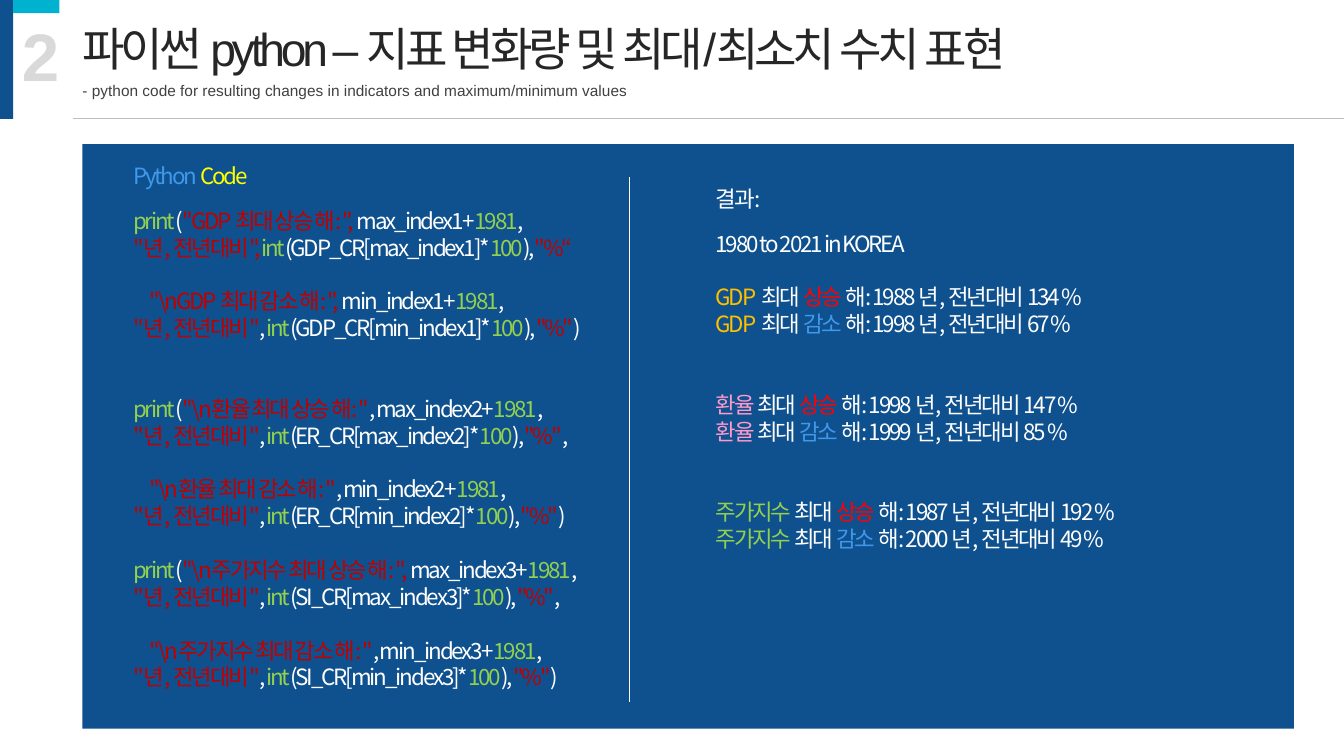
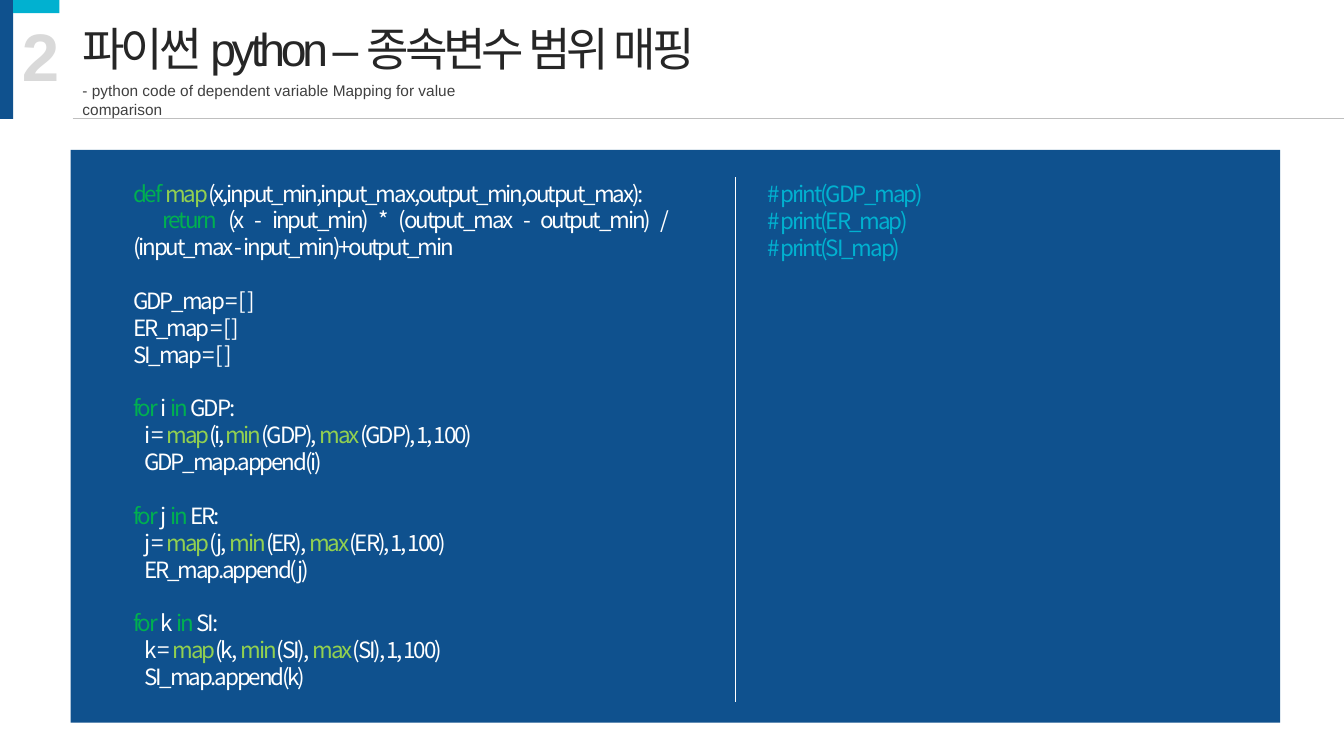
import pptx
import pptx.dml.color
import pptx.enum.shapes
import pptx.enum.text
import pptx.util
from lxml import etree
from pptx.util import Cm, Pt

RGB = pptx.dml.color.RGBColor
NAVY = RGB(0x0F, 0x51, 0x8E)
CYAN = RGB(0x01, 0xB1, 0xD0)
WHITE = RGB(0xFF, 0xFF, 0xFF)
INK = RGB(0x26, 0x26, 0x26)
SLATE = RGB(0x40, 0x40, 0x40)
PALE = RGB(0xD9, 0xD9, 0xD9)
GRAY = RGB(0xBF, 0xBF, 0xBF)
LIME = RGB(0x92, 0xD0, 0x50)
GREEN = RGB(0x00, 0xB0, 0x50)
MAROON = RGB(0xC0, 0x00, 0x00)
RED = RGB(0xFF, 0x00, 0x00)
SKY = RGB(0x3F, 0x98, 0xEB)
YELLOW = RGB(0xFF, 0xFF, 0x00)
GOLD = RGB(0xFF, 0xC0, 0x00)
PINK = RGB(0xFF, 0x99, 0xCC)

SANS = "Arial"
CODE = "Noto Sans CJK KR"
LINE = 19.2
HEAD_GAP = 12.4
LEFT = 1.83
WIDE = 33.87
NS = "{http://schemas.openxmlformats.org/drawingml/2006/main}"


def add_run(para, text, color, size, font, space=0, bold=False):
    run = para.add_run()
    run.text = text
    run.font.size = Pt(size)
    run.font.bold = bold
    run.font.color.rgb = color
    run.font.name = font
    props = run.font._element
    etree.SubElement(props, NS + "ea").set("typeface", font)
    if space:
        props.set("spc", str(round(space * 100)))


def place(shape, box):
    shape.left, shape.top, shape.width, shape.height = map(Cm, box)
    frame = shape.text_frame
    frame.word_wrap = True
    frame.auto_size = pptx.enum.text.MSO_AUTO_SIZE.NONE
    frame.vertical_anchor = pptx.enum.text.MSO_ANCHOR.TOP
    return frame


def add_label(slide, box, text, color, size, bold=False):
    frame = place(slide.shapes.add_textbox(0, 0, 0, 0), box)
    add_run(frame.paragraphs[0], text, color, size, SANS, bold=bold)


def add_rect(slide, box, color):
    shape = slide.shapes.add_shape(
        pptx.enum.shapes.MSO_SHAPE.RECTANGLE, *map(Cm, box))
    shape.shadow.inherit = False
    shape.fill.solid()
    shape.fill.fore_color.rgb = color
    shape.line.fill.background()
    return shape


def add_line(slide, ends, color):
    line = slide.shapes.add_connector(
        pptx.enum.shapes.MSO_CONNECTOR.STRAIGHT, *map(Cm, ends))
    line.line.color.rgb = color
    line.line.width = Pt(0.5)
    etree.SubElement(line.element.spPr, NS + "effectLst")


def fill_code(shape, box, rows, margin=1.27):
    """Each row is (gap before in points, first-line indent in cm, runs)."""
    frame = place(shape, box)
    for num, (gap, indent, runs) in enumerate(rows):
        para = frame.add_paragraph() if num else frame.paragraphs[0]
        para.alignment = pptx.enum.text.PP_ALIGN.JUSTIFY
        para.line_spacing = Pt(LINE)
        para.space_before = Pt(gap)
        para.space_after = Pt(0)
        props = para._p.get_or_add_pPr()
        props.set("marL", str(Cm(margin)))
        props.set("indent", str(Cm(indent)))
        etree.SubElement(props, NS + "buNone")
        for text, color in runs:
            add_run(para, text, color, 16, CODE, -1.5)


def add_page(deck, title, note, note_width, panel, split):
    """Build the shared frame; return the slide's two body placeholders."""
    slide = deck.slides.add_slide(deck.slide_layouts[3])
    head, left, right = slide.placeholders
    head.element.addprevious(add_rect(slide, panel, NAVY).element)
    add_rect(slide, (0, 0, 0.33, 3), NAVY)
    add_rect(slide, (0.33, 0, 1.17, 0.33), CYAN)
    add_line(slide, (LEFT, 2.97, WIDE, 2.97), GRAY)
    add_line(slide, (split, 4.47, split, 17.7), WHITE)
    para = place(head, (LEFT, 0.38, 27.84, 1.68)).paragraphs[0]
    para.alignment = pptx.enum.text.PP_ALIGN.LEFT
    add_run(para, title, INK, 33, SANS, -3)
    add_label(slide, (LEFT, 1.93, note_width, 0.74), note, SLATE, 11)
    add_label(slide, (0.3, 0.23, 1.8, 2.31), "2", PALE, 48, True)
    return left, right


def print_rows():
    """Rows of the three print calls, a rise and a fall for each."""
    rows = [(0, 0, [("Python ", SKY), ("Code", YELLOW)])]
    calls = [
        (HEAD_GAP, "GDP 최대 상승", "max_index1", "GDP_CR", ""),
        (LINE, "\\nGDP 최대 감소", "min_index1", "GDP_CR", ")"),
        (2 * LINE, "\\n환율 최대 상승", "max_index2", "ER_CR", ","),
        (LINE, "\\n환율 최대 감소", "min_index2", "ER_CR", ")"),
        (LINE, "\\n주가지수 최대 상승", "max_index3", "SI_CR", ","),
        (LINE, "\\n주가지수 최대 감소", "min_index3", "SI_CR", ")"),
    ]
    dark = ("max_index1", "min_index1", "max_index3")
    for gap, label, index, name, end in calls:
        rise = index.startswith("max")
        start = [("print", LIME), ("(", WHITE)] if rise else []
        rows.append((gap, 0 if rise else 0.42, start + [
            (f'"{label} 해: "', MAROON),
            (", ", MAROON if index in dark else WHITE),
            (index + "+", WHITE), ("1981", LIME), (",", WHITE)]))
        tail = [('"%"', MAROON), (end, WHITE)] if end else [('"%“', MAROON)]
        rows.append((0, 0, [
            ('"년, 전년대비"', MAROON), (",", WHITE if end else MAROON),
            ("int", LIME), (f"({name}[{index}]*", WHITE),
            ("100", LIME), ("),", WHITE)] + tail))
    return rows


def result_rows():
    rows = [(0, 0, [("결과:", WHITE)]),
            (HEAD_GAP, 0, [("1980 to 2021 in KOREA", WHITE)])]
    facts = [
        (LINE, "GDP", GOLD, (1988, 134), (1998, 67)),
        (2 * LINE, "환율", PINK, (1998, 147), (1999, 85)),
        (2 * LINE, "주가지수", LIME, (1987, 192), (2000, 49)),
    ]
    for gap, name, color, rise, fall in facts:
        for space, word, tint, (year, rate) in (
                (gap, "상승", RED, rise), (0, "감소", SKY, fall)):
            rows.append((space, 0, [
                (name, color), (" 최대 ", WHITE), (word, tint),
                (f" 해: {year} 년, 전년대비 {rate} %", WHITE)]))
    return rows


def map_rows():
    rows = [
        (0, 0, [("def ", GREEN), ("map", LIME),
                ("(x,input_min,input_max,output_min,output_max):", WHITE)]),
        (0, 0.74, [("return", GREEN),
                   (" (x - input_min) * (output_max - output_min) / "
                    "\t(input_max - input_min)+output_min", WHITE)]),
    ]
    loops = (("i", "GDP", "(i,"), ("j", "ER", "(j, "), ("k", "SI", "(k, "))
    for num, (_, name, _) in enumerate(loops):
        rows.append((0 if num else LINE, 0, [(f"{name}_map = [ ]", WHITE)]))
    for var, name, first in loops:
        rows += [
            (LINE, 0, [("for", GREEN), (f" {var} ", WHITE),
                       ("in", GREEN), (f" {name}:", WHITE)]),
            (0, 0.28, [(f"{var} = ", WHITE), ("map", LIME), (first, WHITE),
                       ("min", LIME), (f"({name}), ", WHITE),
                       ("max", LIME), (f"({name}), 1, 100)", WHITE)]),
            (0, 0.28, [(f"{name}_map.append({var})", WHITE)]),
        ]
    return rows


def main():
    deck = pptx.Presentation()
    deck.slide_width, deck.slide_height = Cm(WIDE), Cm(19.05)

    left, right = add_page(
        deck, "파이썬 python – 지표 변화량 및 최대/최소치 수치 표현",
        "- python code for resulting changes in indicators and "
        "maximum/minimum values",
        14.48, (2.08, 3.63, 30.53, 14.73), 15.85)
    fill_code(left, (LEFT, 3.97, 15.44, 13.8), print_rows())
    fill_code(right, (16.51, 4.55, 15.44, 10), result_rows())

    left, right = add_page(
        deck, "파이썬 python – 종속변수 범위 매핑",
        "- python code of dependent variable Mapping for value comparison",
        11.7, (1.78, 3.78, 30.48, 14.43), 18.52)
    fill_code(left, (LEFT, 4.4, 15.44, 13.26), map_rows())
    fill_code(right, (19.08, 4.42, 9.55, 2.31),
              [(0, 0, [(f"# print({name}_map)", CYAN)])
               for name in ("GDP", "ER", "SI")], 0)

    deck.save("out.pptx")


if __name__ == "__main__":
    main()
